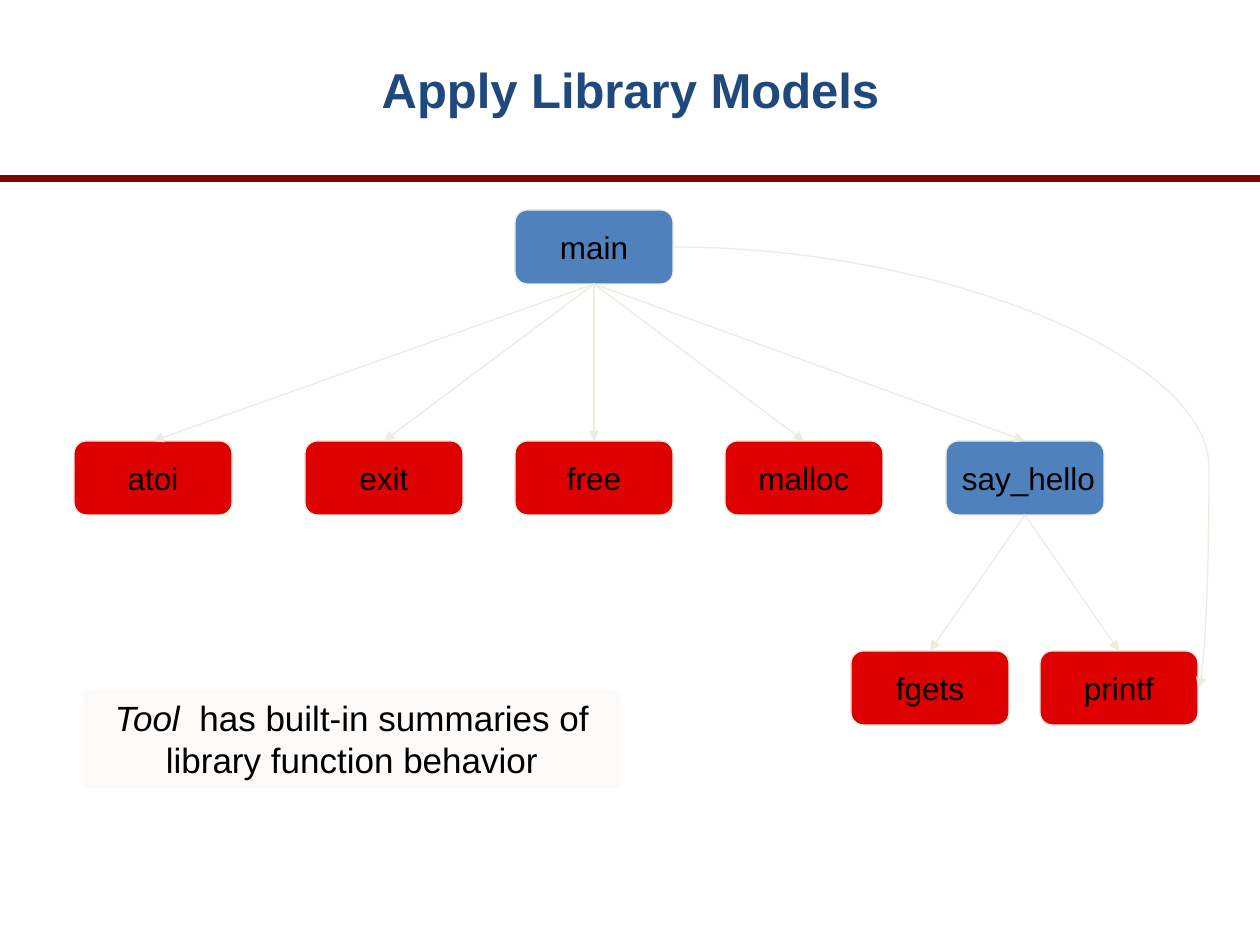
from dataclasses import dataclass

from lxml import etree
from pptx import Presentation
from pptx.dml.color import RGBColor
from pptx.enum.shapes import MSO_CONNECTOR, MSO_SHAPE
from pptx.enum.text import MSO_ANCHOR, PP_ALIGN
from pptx.oxml.ns import qn
from pptx.util import Emu, Pt

STRAIGHT, CURVE = MSO_CONNECTOR.STRAIGHT, MSO_CONNECTOR.CURVE
RECTANGLE, ROUNDED = MSO_SHAPE.RECTANGLE, MSO_SHAPE.ROUNDED_RECTANGLE
LEFT, CENTER = PP_ALIGN.LEFT, PP_ALIGN.CENTER
TOP, MIDDLE = MSO_ANCHOR.TOP, MSO_ANCHOR.MIDDLE

PIXELS_PER_INCH = 126
NODE_WIDTH, NODE_HEIGHT = 158, 74
ROW_MAIN, ROW_CALLS, ROW_OUTPUT = 210, 441, 651
TOP_SITE, BOTTOM_SITE = 0, 2
LIBRARY, USER = "DE0000", "4F81BD"
PALE, BLACK = "EEECE1", "000000"


@dataclass
class Node:
    name: str
    left: int
    top: int
    fill: str
    align: PP_ALIGN = CENTER


NODES = [
    Node("atoi", 74, ROW_CALLS, LIBRARY),
    Node("main", 515, ROW_MAIN, USER),
    Node("exit", 305, ROW_CALLS, LIBRARY),
    Node("free", 515, ROW_CALLS, LIBRARY),
    Node("malloc", 725, ROW_CALLS, LIBRARY),
    Node("printf", 1040, ROW_OUTPUT, LIBRARY),
    Node("fgets", 851, ROW_OUTPUT, LIBRARY),
    Node("say_hello", 946, ROW_CALLS, USER, LEFT),
]
CALLS = {
    "main": ["atoi", "exit", "free", "malloc", "say_hello"],
    "say_hello": ["fgets", "printf"],
}


def px(*lengths: int) -> list[Emu]:
    return [Emu(round(length * 914400 / PIXELS_PER_INCH)) for length in lengths]


def color(value: str) -> RGBColor:
    return RGBColor.from_string(value)


def write(frame, *parts, size=18, fill=BLACK, bold=False,
          align=CENTER, anchor=MIDDLE, wrap=True):
    frame.word_wrap = wrap
    frame.vertical_anchor = anchor
    paragraph = frame.paragraphs[0]
    paragraph.alignment = align
    for text, italic in parts:
        run = paragraph.add_run()
        run.text = text
        run.font.name = "Arial"
        run.font.size = Pt(size)
        run.font.color.rgb = color(fill)
        run.font.bold = bold
        run.font.italic = italic


def add_box(slide, kind, left, top, width, height, fill, line=None):
    shape = slide.shapes.add_shape(kind, *px(left, top, width, height))
    shape.shadow.inherit = False
    shape.fill.solid()
    shape.fill.fore_color.rgb = color(fill)
    if line:
        shape.line.color.rgb = color(line)
        shape.line.width = Pt(0.75)
    else:
        shape.line.fill.background()
    return shape


def add_node(slide, node: Node):
    shape = add_box(slide, ROUNDED, node.left, node.top, NODE_WIDTH, NODE_HEIGHT, node.fill, PALE)
    write(shape.text_frame, (node.name, False), align=node.align, wrap=False)
    return shape


def add_line(slide, points, kind=STRAIGHT, line=PALE, weight=0.75, arrow=True):
    connector = slide.shapes.add_connector(kind, *px(*points))
    connector.line.color.rgb = color(line)
    connector.line.width = Pt(weight)
    properties = connector._element.spPr
    if arrow:
        etree.SubElement(properties.find(qn("a:ln")), qn("a:tailEnd"), type="triangle")
    etree.SubElement(properties, qn("a:effectLst"))
    return connector


def add_call(slide, caller, callee):
    connector = add_line(slide, (0, 0, 0, 0))
    connector.begin_connect(caller, BOTTOM_SITE)
    connector.end_connect(callee, TOP_SITE)


def add_curved_call(slide, points, bend: int):
    connector = add_line(slide, points, kind=CURVE)
    geometry = connector._element.spPr.find(qn("a:prstGeom"))
    adjustments = geometry.find(qn("a:avLst"))
    if adjustments is None:
        adjustments = etree.SubElement(geometry, qn("a:avLst"))
    etree.SubElement(adjustments, qn("a:gd"), name="adj1", fmla=f"val {bend}")


def main():
    presentation = Presentation()
    presentation.slide_width, presentation.slide_height = px(1260, 945)
    slide = presentation.slides.add_slide(presentation.slide_layouts[5])

    title = slide.shapes.title
    title.left, title.top, title.width, title.height = px(95, 10, 1071, 157)
    write(title.text_frame, ("Apply Library Models", False), size=28, fill="1F497D", bold=True)
    add_line(slide, (0, 179, 1260, 179), line="800000", weight=4, arrow=False)

    shapes = {node.name: add_node(slide, node) for node in NODES}
    for caller, callees in CALLS.items():
        for callee in callees:
            add_call(slide, shapes[caller], shapes[callee])
    add_curved_call(slide, (673, 247, 1198, 688), bend=102100)

    note = add_box(slide, RECTANGLE, 84, 690, 536, 98, "FCFBF9")
    write(note.text_frame, ("Tool  ", True),
          ("has built-in summaries of library function behavior", False),
          size=20, anchor=TOP)
    presentation.save("out.pptx")


if __name__ == "__main__":
    main()
